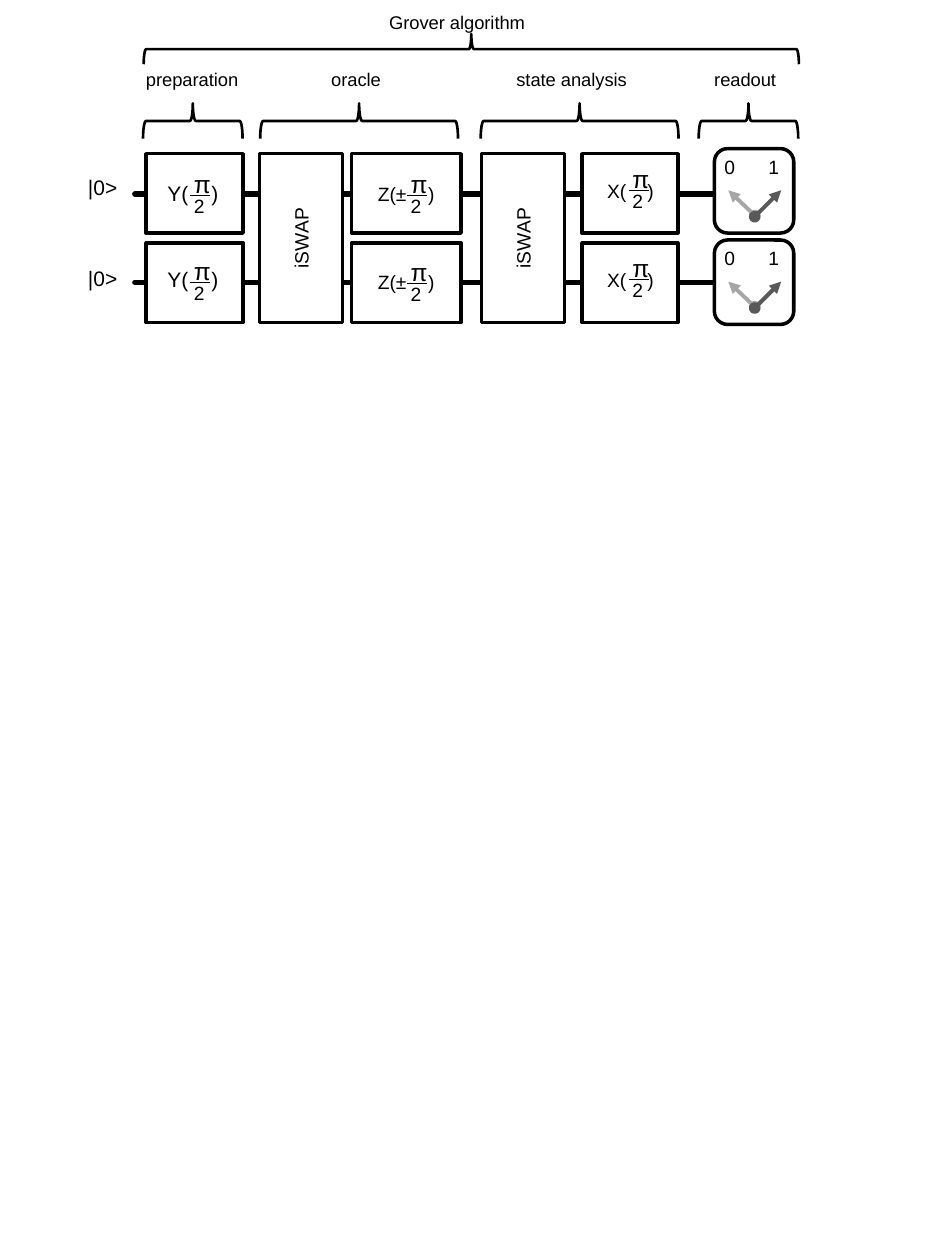
from lxml import etree
from pptx import Presentation
from pptx.dml.color import RGBColor
from pptx.enum import shapes, text
from pptx.oxml import ns
from pptx.util import Inches, Pt

BLACK, WHITE, LIGHT, DARK = "000000", "FFFFFF", "A6A6A6", "595959"

presentation = Presentation()
presentation.slide_width, presentation.slide_height = Inches(7.5), Inches(10)
slide = presentation.slides.add_slide(presentation.slide_layouts[6])


def add_label(content, left, top, width, size, tab=None):
    """Add a text box; tab is the stop, in inches, that a tab character jumps to."""
    frame = slide.shapes.add_textbox(
        Inches(left), Inches(top), Inches(width), Inches(0.3)).text_frame
    frame.word_wrap = True
    paragraph = frame.paragraphs[0]
    paragraph.text = content
    if tab:
        properties = paragraph._p.get_or_add_pPr()
        stops = etree.SubElement(properties, ns.qn("a:tabLst"))
        etree.SubElement(stops, ns.qn("a:tab"), pos=str(Inches(tab)), algn="l")
    paragraph.font.name = "Arial"
    paragraph.font.size = Pt(size)
    paragraph.font.color.rgb = RGBColor.from_string(BLACK)


def add_line(x1, y1, x2, y2, colour, width, head=None, tail=None):
    connector = slide.shapes.add_connector(
        shapes.MSO_CONNECTOR.STRAIGHT, Inches(x1), Inches(y1), Inches(x2), Inches(y2))
    connector.line.color.rgb = RGBColor.from_string(colour)
    connector.line.width = Pt(width)
    for tag, kind in (("a:headEnd", head), ("a:tailEnd", tail)):
        if kind:
            etree.SubElement(connector.line._ln, ns.qn(tag), type=kind)
    etree.SubElement(connector._element.spPr, ns.qn("a:effectLst"))
    return connector


# Qubit wires and their initial states
for row in range(2):
    add_label("|0>", 0.6, 1.34 + 0.72 * row, 0.63, 12)
    wire_y = 1.54 + 0.7 * row
    wire = add_line(1.07, wire_y, 6.19, wire_y, BLACK, 3)
    wire.line._ln.set("cap", "rnd")

# Boxes and braces: preset, left, top, width, height, rotation, line width, caption
RECTANGLE = shapes.MSO_SHAPE.RECTANGLE
METER = shapes.MSO_SHAPE.ROUNDED_RECTANGLE
BRACE = shapes.MSO_SHAPE.LEFT_BRACE
outlines = []
for row in range(2):
    for left, width in ((1.16, 0.77), (2.79, 0.87), (4.62, 0.76)):
        outlines.append((RECTANGLE, left, 1.22 + 0.71 * row, width, 0.63, 0, 2, ""))
    outlines.append((METER, 5.67, 1.18 + 0.725 * row, 0.63, 0.67, 0, 2, ""))
for left in (1.72, 3.48):
    outlines.append((RECTANGLE, left, 1.56, 1.34, 0.66, 270, 2, "iSWAP"))
for centre_x, centre_y, depth, span in (
        (3.74, 0.39, 0.24, 5.2), (1.53, 0.96, 0.28, 0.79), (2.85, 0.96, 0.28, 1.57),
        (4.6, 0.96, 0.28, 1.57), (5.94, 0.96, 0.28, 0.79)):
    outlines.append((BRACE, centre_x - depth / 2, centre_y - span / 2,
                     depth, span, 90, 1.5, ""))

for preset, left, top, width, height, rotation, weight, caption in outlines:
    shape = slide.shapes.add_shape(
        preset, Inches(left), Inches(top), Inches(width), Inches(height))
    shape.rotation = rotation
    shape.shadow.inherit = False
    shape.line.color.rgb = RGBColor.from_string(BLACK)
    shape.line.width = Pt(weight)
    if preset == BRACE:
        shape.fill.background()
    else:
        shape.fill.solid()
        shape.fill.fore_color.rgb = RGBColor.from_string(WHITE)
    if caption:
        shape.text_frame.text = caption
        paragraph = shape.text_frame.paragraphs[0]
        paragraph.alignment = text.PP_ALIGN.CENTER
        paragraph.font.name = "Arial"
        paragraph.font.size = Pt(11)
        paragraph.font.color.rgb = RGBColor.from_string(BLACK)

# Stage names above the braces
add_label("Grover algorithm", 2.99, 0.04, 1.35, 10.5)
for name, left, width in (("preparation", 1.06, 0.98), ("oracle", 2.53, 0.62),
                          ("state analysis", 4, 1.14), ("readout", 5.57, 0.72)):
    add_label(name, left, 0.49, width, 10.5)

# Rotation gates: a bracketed name with the fraction π/2 set in the gap
for name, left, top, size, gap_end, fraction_left, fraction_top, pitch in (
        ("Y(\t)", 1.23, 1.38, 12, 0.35, 1.44, 1.29, 0.69),
        ("Z(±\t)", 2.9, 1.4, 11, 0.4, 3.16, 1.29, 0.7),
        ("X(\t)", 4.72, 1.37, 11, 0.32, 4.92, 1.25, 0.71)):
    for row in range(2):
        shift = pitch * row
        y = fraction_top + shift
        add_label(name, left, top + shift, 1.02, size, gap_end)
        add_label("π", fraction_left, y, 0.31, 14)
        add_line(fraction_left + 0.07, y + 0.26, fraction_left + 0.23, y + 0.26,
                 BLACK, 0.75)
        add_label("2", fraction_left, y + 0.2, 0.29, 11)

# Readout meters
for row in range(2):
    top = 1.18 + 0.725 * row
    add_line(5.99, top + 0.53, 5.78, top + 0.33, LIGHT, 2.25, "oval", "triangle")
    add_line(5.99, top + 0.54, 6.2, top + 0.33, DARK, 2.25, "oval", "triangle")
    add_label("0", 5.65, top, 0.29, 11)
    add_label("1", 6, top, 0.29, 11)

presentation.save("out.pptx")
